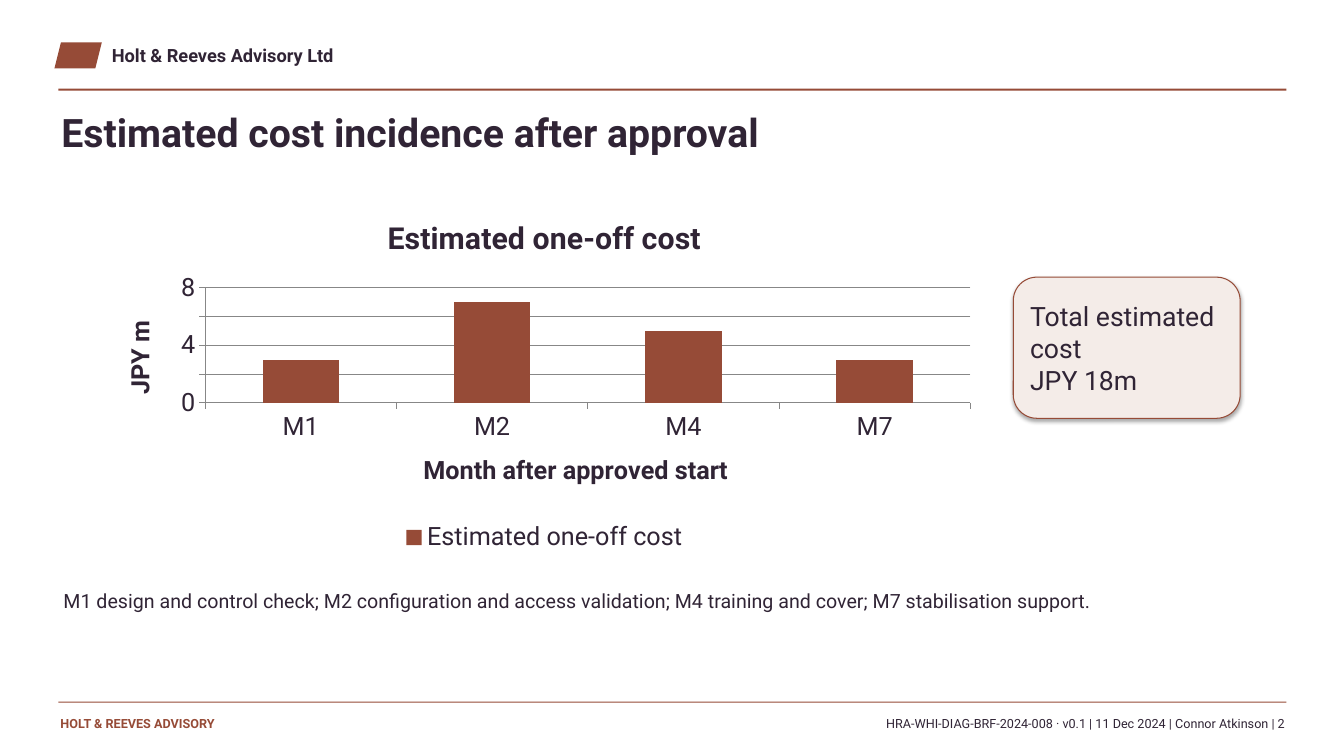
from pptx import Presentation
from pptx.chart.data import CategoryChartData
from pptx.dml.color import RGBColor
from pptx.enum.chart import XL_CHART_TYPE, XL_LEGEND_POSITION, XL_TICK_MARK
from pptx.enum.shapes import MSO_SHAPE
from pptx.enum.text import MSO_ANCHOR, PP_ALIGN
from pptx.util import Inches, Pt

RUST = RGBColor(0x96, 0x4B, 0x37)
PLUM = RGBColor(0x30, 0x24, 0x35)
BLUSH = RGBColor(0xF4, 0xEC, 0xE8)
GRID = RGBColor(0x87, 0x87, 0x87)

FONT = "Roboto"
COLUMN = XL_CHART_TYPE.COLUMN_CLUSTERED
LEGEND_BOTTOM = XL_LEGEND_POSITION.BOTTOM
TICK_OUT, TICK_NONE = XL_TICK_MARK.OUTSIDE, XL_TICK_MARK.NONE
RECT, SLANT, ROUNDED = MSO_SHAPE.RECTANGLE, MSO_SHAPE.PARALLELOGRAM, MSO_SHAPE.ROUNDED_RECTANGLE
LEFT, RIGHT = PP_ALIGN.LEFT, PP_ALIGN.RIGHT
MIDDLE = MSO_ANCHOR.MIDDLE

MARGIN, CONTENT_W = 0.58, 12.18


def set_font(font, size, color=PLUM, bold=False):
    font.name = FONT
    font.size = Pt(size)
    font.bold = bold
    font.color.rgb = color


def add_text(slide, x, y, w, h, text, size, color=PLUM, bold=False, align=LEFT):
    tf = slide.shapes.add_textbox(Inches(x), Inches(y), Inches(w), Inches(h)).text_frame
    tf.word_wrap = True
    tf.margin_left = tf.margin_top = tf.margin_right = tf.margin_bottom = 0
    p = tf.paragraphs[0]
    p.text = text
    p.alignment = align
    set_font(p.font, size, color, bold)


def add_flat(slide, kind, x, y, w, h):
    """Add a rust shape without outline or shadow."""
    sp = slide.shapes.add_shape(kind, Inches(x), Inches(y), Inches(w), Inches(h))
    sp.shadow.inherit = False
    sp.fill.solid()
    sp.fill.fore_color.rgb = RUST
    sp.line.fill.background()


def add_header(slide, x, y, w):
    add_flat(slide, SLANT, x - 0.04, y, 0.47, 0.26)
    add_text(slide, x + 0.53, y + 0.02, 6, 0.27, "Holt & Reeves Advisory Ltd", 13, bold=True)
    add_flat(slide, RECT, x, y + 0.46, w, 0.02)


def add_footer(slide, x, y, w):
    add_flat(slide, RECT, x, y, w, 0.01)
    add_text(slide, x + 0.02, y + 0.14, 3.4, 0.25, "HOLT & REEVES ADVISORY", 9, RUST, True)
    add_text(slide, x + w - 8.64, y + 0.14, 8.62, 0.22,
             "HRA-WHI-DIAG-BRF-2024-008 · v0.1 | 11 Dec 2024 | Connor Atkinson | 2",
             9, align=RIGHT)


def add_chart_title(owner, text, size):
    """Title a chart or an axis."""
    owner.has_title = True
    title = owner.chart_title if hasattr(owner, "chart_title") else owner.axis_title
    p = title.text_frame.paragraphs[0]
    p.text = text
    set_font(p.font, size, bold=True)


def add_cost_chart(slide, x, y, w, h):
    data = CategoryChartData()
    data.categories = ["M1", "M2", "M4", "M7"]
    data.add_series("Estimated one-off cost", (3, 7, 5, 3))
    chart = slide.shapes.add_chart(COLUMN, Inches(x), Inches(y), Inches(w), Inches(h), data).chart
    set_font(chart.font, 18)
    add_chart_title(chart, "Estimated one-off cost", 21.6)
    chart.has_legend = True
    chart.legend.position = LEGEND_BOTTOM
    chart.legend.include_in_layout = False

    months, cost = chart.category_axis, chart.value_axis
    for axis, text in ((months, "Month after approved start"), (cost, "JPY m")):
        add_chart_title(axis, text, 18)
        axis.major_tick_mark = TICK_OUT
        axis.minor_tick_mark = TICK_NONE
        axis.format.line.color.rgb = GRID
    cost.minimum_scale, cost.maximum_scale, cost.major_unit = 0, 8, 2
    cost.has_major_gridlines = True
    cost.major_gridlines.format.line.color.rgb = GRID

    plot = chart.plots[0]
    plot.vary_by_categories = False
    plot.gap_width = 150
    fill = plot.series[0].format.fill
    fill.solid()
    fill.fore_color.rgb = RUST


def add_total(slide, x, y, w, h):
    """Add the total card, which keeps the theme's soft shadow."""
    sp = slide.shapes.add_shape(ROUNDED, Inches(x), Inches(y), Inches(w), Inches(h))
    sp.fill.solid()
    sp.fill.fore_color.rgb = BLUSH
    sp.line.color.rgb = RUST
    sp.line.width = Pt(0.75)
    tf = sp.text_frame
    tf.word_wrap = True
    tf.vertical_anchor = MIDDLE
    tf.text = "Total estimated cost\nJPY 18m"
    for p in tf.paragraphs:
        p.alignment = LEFT
        set_font(p.font, 19)


def main():
    prs = Presentation()
    prs.slide_width, prs.slide_height = Inches(13.33), Inches(7.5)
    slide = prs.slides.add_slide(prs.slide_layouts[6])
    add_header(slide, MARGIN, 0.42, CONTENT_W)
    add_footer(slide, MARGIN, 6.96, CONTENT_W)
    add_text(slide, 0.61, 1.07, 12, 0.78, "Estimated cost incidence after approval", 28, bold=True)
    add_cost_chart(slide, 1, 1.98, 8.8, 3.55)
    add_total(slide, 10.05, 2.75, 2.25, 1.4)
    add_text(slide, 0.63, 5.84, 11.94, 0.8,
             "M1 design and control check; M2 configuration and access validation; "
             "M4 training and cover; M7 stabilisation support.", 14)
    prs.save("out.pptx")


if __name__ == "__main__":
    main()
